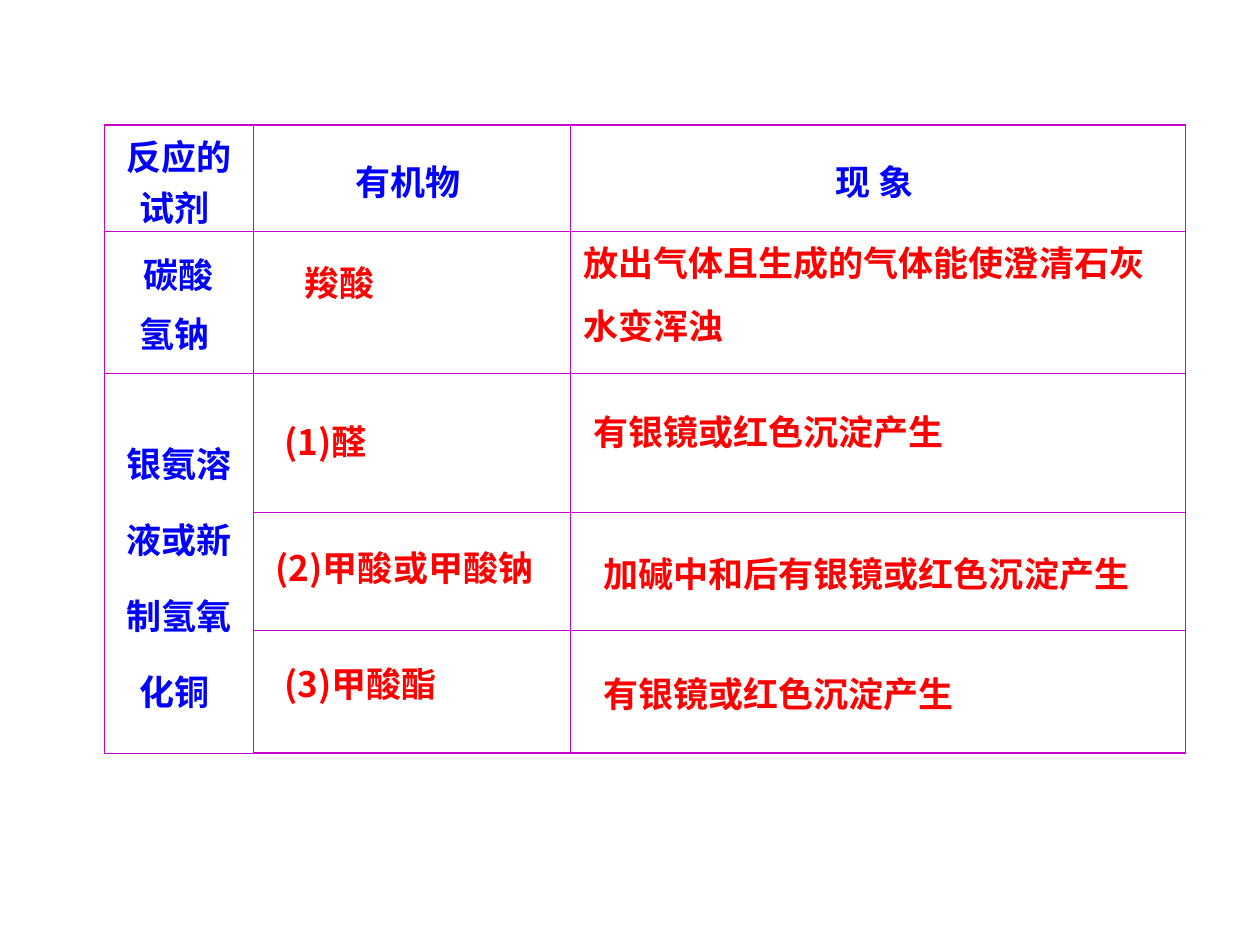
import pptx
import pptx.dml.color
import pptx.enum.text
import pptx.oxml.ns
import pptx.util
from lxml import etree

Inches = pptx.util.Inches
Pt = pptx.util.Pt
COLORS = {"heading": "0000FF", "answer": "FF0000", "border": "CC00CC"}
SANS, SERIF, ARIAL = "Noto Sans CJK SC", "Times New Roman", "Arial"
COLUMN_WIDTHS = [1.18, 2.52, 4.88]
ROW_HEIGHTS = [0.84, 1.13, 1.1, 0.94, 0.97]
SILVER_MIRROR = [("有银镜或", SANS), ("红", SERIF), ("色沉淀产生", SANS)]

HEADINGS = [
    (0, 0, [[("反", ARIAL), ("应的试", SERIF), ("剂 ", ARIAL)]]),
    (0, 1, [[("有", SERIF), ("机物 ", ARIAL)]]),
    (0, 2, [[("现 ", SERIF), ("象 ", ARIAL)]]),
    (1, 0, [[("碳", ARIAL), ("酸", SERIF)], [("氢钠 ", ARIAL)]]),
    (2, 0, [[("银氨溶液或新制氢氧化铜 ", SERIF)]]),
]

ANSWERS = [
    (2.32, 1.86, 1.34, 0.6, [("羧", SERIF), ("酸", SANS)]),
    (4.53, 1.7, 4.88, 1.1, [
        ("放", SANS), ("出", SERIF), ("气", SANS), ("体", SERIF),
        ("且生成的气体", SANS), ("能", SERIF), ("使澄清石灰水变浑浊", SANS)]),
    (2.16, 3.12, 1.34, 0.6, [("(1)醛", SANS)]),
    (4.61, 3.04, 4.88, 0.6, SILVER_MIRROR),
    (2.09, 4.12, 2.76, 0.6, [("(2)甲酸", SANS), ("或", SERIF), ("甲酸钠", SANS)]),
    (4.69, 4.17, 4.57, 0.6, [
        ("加碱中", SANS), ("和", SERIF), ("后有银镜或红色沉淀产生", SANS)]),
    (2.16, 5.04, 1.81, 0.6, [("(3)甲酸酯", SANS)]),
    (4.69, 5.12, 4.88, 0.6, SILVER_MIRROR),
]


def add_spans(para, spans, color):
    for text, font_name in spans:
        span = para.add_run()
        span.text = text
        span.font.name = font_name
        span.font.size = Pt(20)
        span.font.bold = True
        span.font.color.rgb = pptx.dml.color.RGBColor.from_string(COLORS[color])
        east_asian = etree.SubElement(span.font._element, pptx.oxml.ns.qn("a:ea"))
        east_asian.set("typeface", SANS)


def set_borders(cell, outer_sides):
    properties = cell._tc.get_or_add_tcPr()
    for index, side in enumerate("LRTB"):
        line = etree.Element(pptx.oxml.ns.qn("a:ln" + side))
        line.set("w", str(Pt(1.08 if side in outer_sides else 0.45)))
        fill = etree.SubElement(line, pptx.oxml.ns.qn("a:solidFill"))
        color = etree.SubElement(fill, pptx.oxml.ns.qn("a:srgbClr"))
        color.set("val", COLORS["border"])
        properties.insert(index, line)


def fill_heading(cell, paragraphs, line_spacing):
    for index, spans in enumerate(paragraphs):
        if index == 0:
            para = cell.text_frame.paragraphs[0]
        else:
            para = cell.text_frame.add_paragraph()
            para.space_before = Pt(5)
        para.alignment = pptx.enum.text.PP_ALIGN.CENTER
        para.line_spacing = line_spacing
        add_spans(para, spans, "heading")


def add_reaction_table(page):
    row_count, column_count = len(ROW_HEIGHTS), len(COLUMN_WIDTHS)
    frame = page.shapes.add_table(
        row_count, column_count, Inches(0.83), Inches(0.99),
        Inches(sum(COLUMN_WIDTHS)), Inches(sum(ROW_HEIGHTS)))
    table = frame.table
    table.first_row = table.horz_banding = False
    for column, width in zip(table.columns, COLUMN_WIDTHS):
        column.width = Inches(width)
    for row, height in zip(table.rows, ROW_HEIGHTS):
        row.height = Inches(height)
    for row in range(row_count):
        for column in range(column_count):
            cell = table.cell(row, column)
            cell.fill.background()
            cell.vertical_anchor = pptx.enum.text.MSO_ANCHOR.MIDDLE
            if row == 0:
                cell.margin_top, cell.margin_bottom = Inches(0.04), 0
            edges = {"L": column == 0, "R": column == column_count - 1,
                     "T": row == 0, "B": row == row_count - 1}
            set_borders(cell, [side for side, outer in edges.items() if outer])
    table.cell(2, 0).merge(table.cell(4, 0))
    for row, column, paragraphs in HEADINGS:
        fill_heading(table.cell(row, column), paragraphs, 1.5 if row == 2 else 1.0)


def add_answer(page, left, top, width, height, spans):
    box = page.shapes.add_textbox(
        Inches(left), Inches(top), Inches(width), Inches(height))
    box.text_frame.word_wrap = True
    box.text_frame.auto_size = pptx.enum.text.MSO_AUTO_SIZE.SHAPE_TO_FIT_TEXT
    para = box.text_frame.paragraphs[0]
    para.line_spacing = 1.5
    add_spans(para, spans, "answer")


def main():
    deck = pptx.Presentation()
    deck.slide_width, deck.slide_height = Inches(10), Inches(7.5)
    page = deck.slides.add_slide(deck.slide_layouts[6])
    add_reaction_table(page)
    for answer in ANSWERS:
        add_answer(page, *answer)
    deck.save("out.pptx")


if __name__ == "__main__":
    main()
